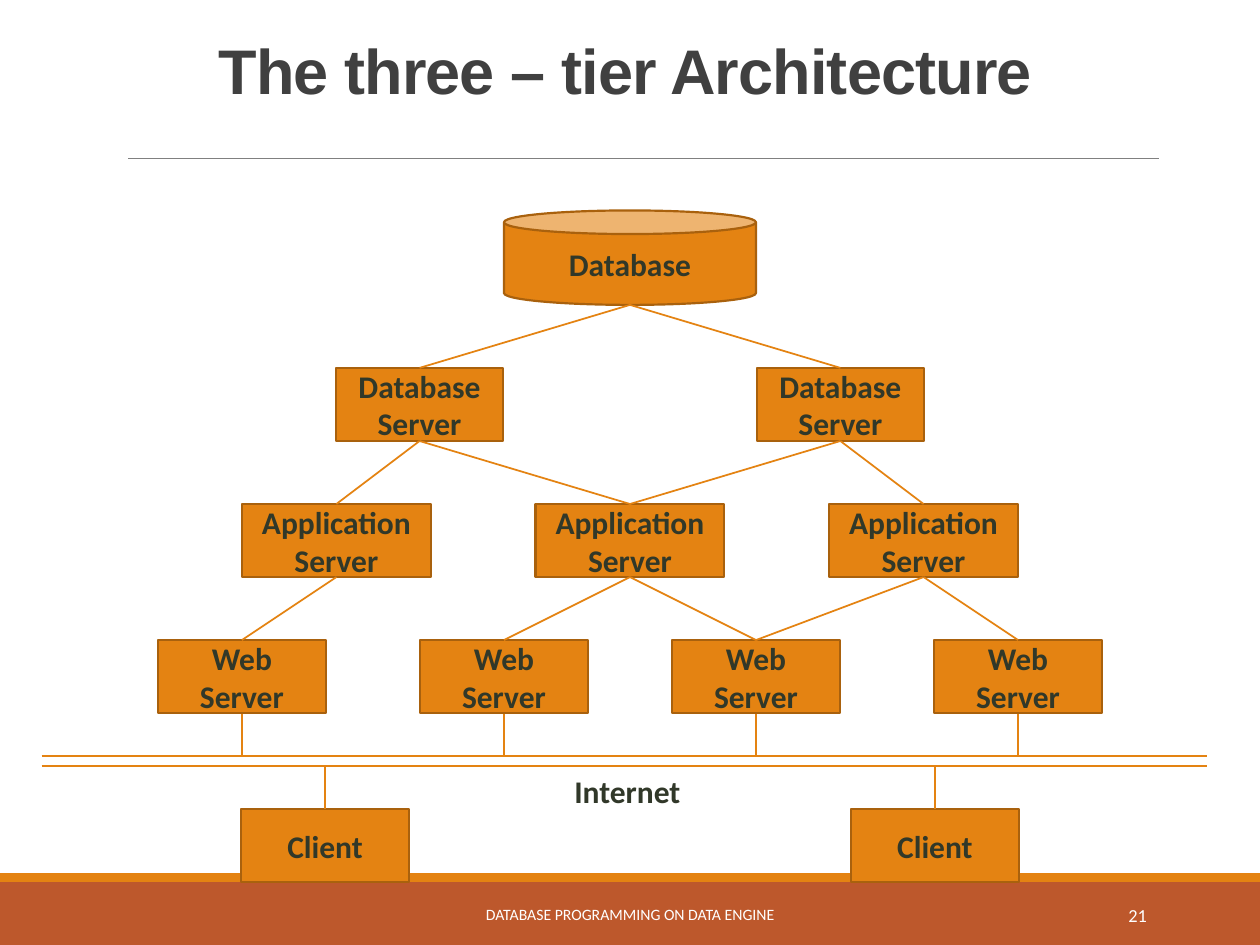
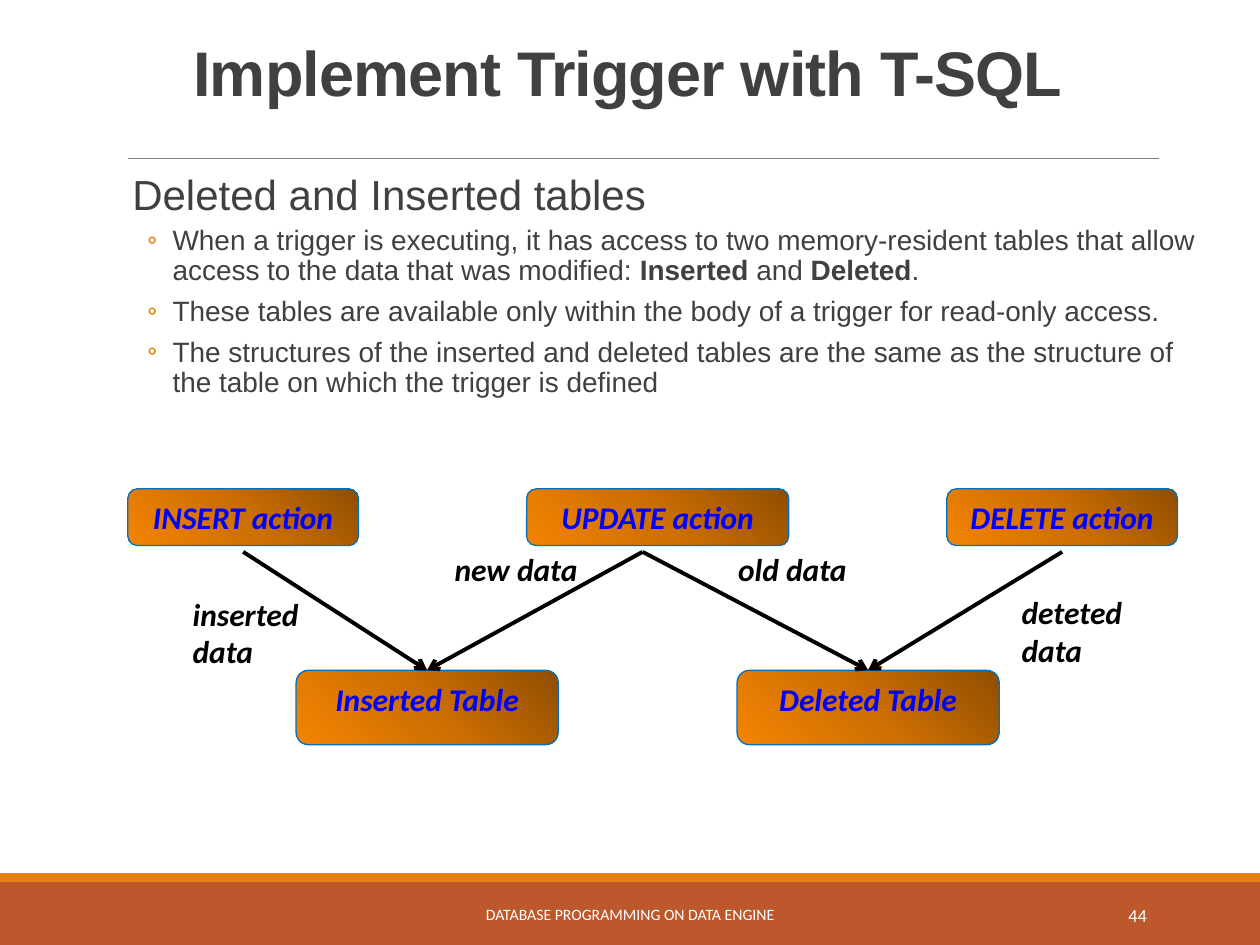
from lxml import etree
from pptx import Presentation
from pptx.dml.color import RGBColor
from pptx.enum.shapes import MSO_CONNECTOR, MSO_SHAPE
from pptx.enum.text import MSO_ANCHOR, MSO_AUTO_SIZE, PP_ALIGN
from pptx.oxml import parse_xml
from pptx.oxml.ns import qn
from pptx.util import Inches, Pt

RECT, ROUNDED, CAN = MSO_SHAPE.RECTANGLE, MSO_SHAPE.ROUNDED_RECTANGLE, MSO_SHAPE.CAN
STRAIGHT = MSO_CONNECTOR.STRAIGHT
LEFT, CENTER, RIGHT = PP_ALIGN.LEFT, PP_ALIGN.CENTER, PP_ALIGN.RIGHT
TOP, MIDDLE = MSO_ANCHOR.TOP, MSO_ANCHOR.MIDDLE
NO_FIT = MSO_AUTO_SIZE.NONE

COLORS = {
    "orange": "E48312", "rust": "BD582C", "brown": "A9610D", "rule": "808080",
    "heading": "404040", "node": "313829", "white": "FFFFFF", "black": "000000",
    "blue": "0000FF", "edge": "0070C0",
}
GRADIENT = (
    '<a:gradFill xmlns:a="http://schemas.openxmlformats.org/drawingml/2006/main" rotWithShape="1">'
    '<a:gsLst><a:gs pos="0"><a:srgbClr val="904E01"/></a:gs>'
    '<a:gs pos="50000"><a:srgbClr val="CD6F02"/></a:gs>'
    '<a:gs pos="100000"><a:srgbClr val="F48402"/></a:gs></a:gsLst>'
    '<a:path path="circle"><a:fillToRect l="100000" b="100000"/></a:path></a:gradFill>'
)


def add_box(slide, at, text="", kind=None, fill=None, line=None, size=18, color="node",
            bold=True, italic=False, align=CENTER, anchor=MIDDLE, wrap=True):
    place = [Inches(length) for length in at]
    if kind is None:
        box = slide.shapes.add_textbox(*place)
    else:
        box = slide.shapes.add_shape(kind, *place)
        box.shadow.inherit = False
        if fill == "gradient":
            box.element.spPr.insert(2, parse_xml(GRADIENT))
        else:
            box.fill.solid()
            box.fill.fore_color.rgb = RGBColor.from_string(COLORS[fill])
        if line:
            box.line.color.rgb = RGBColor.from_string(COLORS[line])
            box.line.width = Pt(0.75 if line == "edge" else 1.25)
        else:
            box.line.fill.background()
    if text:
        frame = box.text_frame
        frame.text = text
        frame.word_wrap = wrap
        frame.auto_size = NO_FIT
        frame.vertical_anchor = anchor
        frame.paragraphs[0].alignment = align
        font = frame.paragraphs[0].runs[0].font
        font.name, font.size, font.bold, font.italic = "Calibri", Pt(size), bold, italic
        font.color.rgb = RGBColor.from_string(COLORS[color])


def add_line(slide, start, end, color="orange", width=1, arrow=False):
    link = slide.shapes.add_connector(STRAIGHT, *[Inches(v) for v in (*start, *end)])
    link.line.color.rgb = RGBColor.from_string(COLORS[color])
    link.line.width = Pt(width)
    if arrow:
        etree.SubElement(link.line._get_or_add_ln(), qn("a:tailEnd"), type="arrow")
    etree.SubElement(link._element.spPr, qn("a:effectLst"))


prs = Presentation()
prs.slide_width, prs.slide_height = Inches(10), Inches(7.5)
architecture = prs.slides.add_slide(prs.slide_layouts[5])
trigger = prs.slides.add_slide(prs.slide_layouts[1])

for slide, heading, left, top, number in (
    (architecture, "The three – tier Architecture", 0.62, 0.29, "21"),
    (trigger, "Implement Trigger with T-SQL", 0.64, 0.31, "44"),
):
    add_box(slide, (0, 7, 10, 0.5), kind=RECT, fill="rust")
    add_box(slide, (0, 6.93, 10, 0.07), kind=RECT, fill="orange")
    add_line(slide, (1.02, 1.26), (9.2, 1.26), "rule", 0.5)
    title = slide.shapes.title
    title.left, title.top, title.width, title.height = [Inches(v) for v in (left, top, 8.68, 0.92)]
    frame = title.text_frame
    frame.text = heading
    frame.vertical_anchor = TOP
    frame.auto_size = NO_FIT
    paragraph = frame.paragraphs[0]
    paragraph.alignment = CENTER
    paragraph.line_spacing = 0.85
    font = paragraph.runs[0].font
    font.name, font.size, font.bold = "Arial", Pt(36), True
    font.color.rgb = RGBColor.from_string(COLORS["heading"])
    paragraph.runs[0]._r.get_or_add_rPr().set("spc", "-50")
    add_box(slide, (3.02, 7.06, 3.96, 0.4), "DATABASE PROGRAMMING ON DATA ENGINE",
            size=9, color="white", bold=False)
    add_box(slide, (8.12, 7.06, 1.08, 0.4), number,
            size=10.5, color="white", bold=False, align=RIGHT)

NODE_HEIGHT = 0.58
database_x, database_bottom = 5, 2.42
add_box(architecture, (4, 1.67, 2, 0.75), "Database", CAN, "orange", "brown")
tiers = [
    ("Database Server", 2.92, 1.33, (3.33, 6.67), ((0, 0), (0, 1))),
    ("Application Server", 4, 1.5, (2.67, 5, 7.33), ((0, 0), (0, 1), (1, 1), (1, 2))),
    ("Web Server", 5.08, 1.33, (1.92, 4, 6, 8.08), ((0, 0), (1, 1), (1, 2), (2, 2), (2, 3))),
    ("Client", 6.42, 1.33, (2.58, 7.42), ()),
]
parents, parent_bottom = (database_x,), database_bottom
for label, top, width, centers, links in tiers:
    for center in centers:
        add_box(architecture, (center - width / 2, top, width, NODE_HEIGHT),
                label, RECT, "orange", "brown")
    for parent, child in links:
        add_line(architecture, (parents[parent], parent_bottom), (centers[child], top))
    parents, parent_bottom = centers, top + NODE_HEIGHT

internet_top, internet_bottom = 6, 6.08
for y in (internet_top, internet_bottom):
    add_line(architecture, (0.33, y), (9.58, y))
for x in tiers[2][3]:
    add_line(architecture, (x, 5.67), (x, internet_top))
for x in tiers[3][3]:
    add_line(architecture, (x, 6.42), (x, internet_bottom))
add_box(architecture, (4.46, 6.08, 1.09, 0.4), "Internet", align=LEFT, anchor=TOP, wrap=False)

body = trigger.placeholders[1]
body.left, body.top, body.width, body.height = [Inches(v) for v in (0.95, 1.33, 8.68, 5.54)]
frame = body.text_frame
frame.auto_size = NO_FIT
frame.vertical_anchor = TOP
frame.margin_left = frame.margin_right = 0
points = [
    ["Deleted and Inserted tables"],
    ["When a trigger is executing, it has access to two memory-resident tables that allow "
     "access to the data that was modified: ", "Inserted", " and ", "Deleted", "."],
    ["These tables are available only within the body of a trigger for read-only access."],
    ["The structures of the inserted and deleted tables are the same as the structure of "
     "the table on which the trigger is defined"],
]
for index, pieces in enumerate(points):
    paragraph = frame.add_paragraph() if index else frame.paragraphs[0]
    paragraph.level = 1 if index else 0
    paragraph.line_spacing = 0.9
    paragraph.space_before = Pt(2 if index else 12)
    paragraph.space_after = Pt(4 if index else 2)
    properties = paragraph._p.get_or_add_pPr()
    properties.set("marL", str(Inches(0.42 if index else 0.1)))
    properties.set("indent", str(Inches(-0.2 if index else 0)))
    if index:
        bullet_color = etree.SubElement(properties, qn("a:buClr"))
        etree.SubElement(bullet_color, qn("a:srgbClr"), val=COLORS["orange"])
        etree.SubElement(properties, qn("a:buFont"), typeface="Calibri")
        etree.SubElement(properties, qn("a:buChar"), char="◦")
    else:
        etree.SubElement(properties, qn("a:buNone"))
    for piece in pieces:
        run = paragraph.add_run()
        run.text = piece
        run.font.name, run.font.size = "Arial", Pt(16 if index else 24)
        run.font.bold = piece in ("Inserted", "Deleted")
        run.font.color.rgb = RGBColor.from_string(COLORS["heading"])

ACTION_TOP, ARROW_TOP, TABLE_TOP = 3.88, 4.38, 5.32
inserted_x, deleted_x = 3.39, 6.89
insert_x, update_x, delete_x = 1.93, 5.22, 8.43
nodes = [
    ("Inserted Table", inserted_x, TABLE_TOP, 2.08, 0.59),
    ("Deleted Table", deleted_x, TABLE_TOP, 2.08, 0.59),
    ("INSERT action", insert_x, ACTION_TOP, 1.83, 0.45),
    ("UPDATE action", update_x, ACTION_TOP, 2.08, 0.45),
    ("DELETE action", delete_x, ACTION_TOP, 1.83, 0.45),
]
for label, center, top, width, height in nodes:
    add_box(trigger, (center - width / 2, top, width, height), label, ROUNDED, "gradient",
            "edge", color="blue", italic=True, anchor=TOP)
for action_x, table_x in ((insert_x, inserted_x), (5.1, deleted_x),
                          (5.1, inserted_x), (delete_x, deleted_x)):
    add_line(trigger, (action_x, ARROW_TOP), (table_x, TABLE_TOP), "black", 2.25, arrow=True)
for label, left, top, height in (
    ("inserted data", 1.43, 4.67, 0.71), ("new data", 3.51, 4.32, 0.4),
    ("old data", 5.76, 4.32, 0.4), ("deteted data", 8.01, 4.66, 0.71),
):
    add_box(trigger, (left, top, 1.25, height), label, color="black",
            italic=True, align=LEFT, anchor=TOP)

prs.save("out.pptx")
